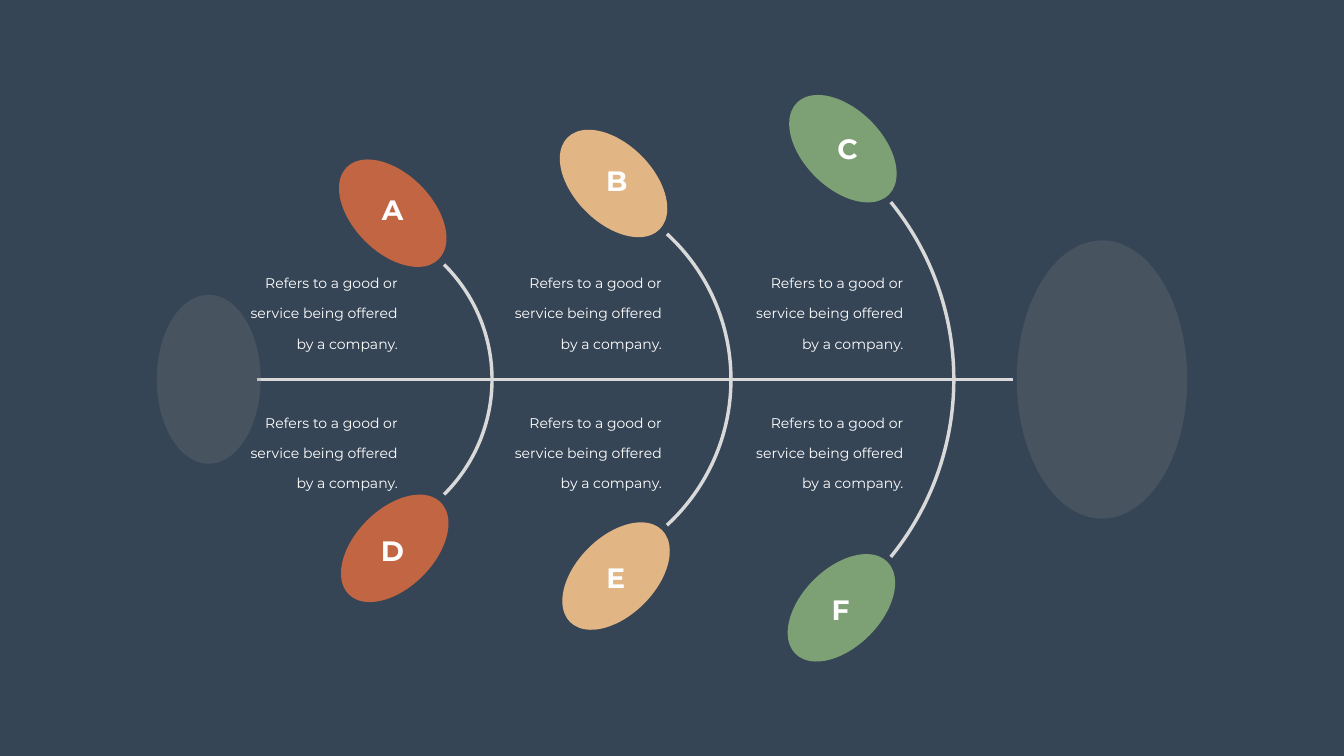
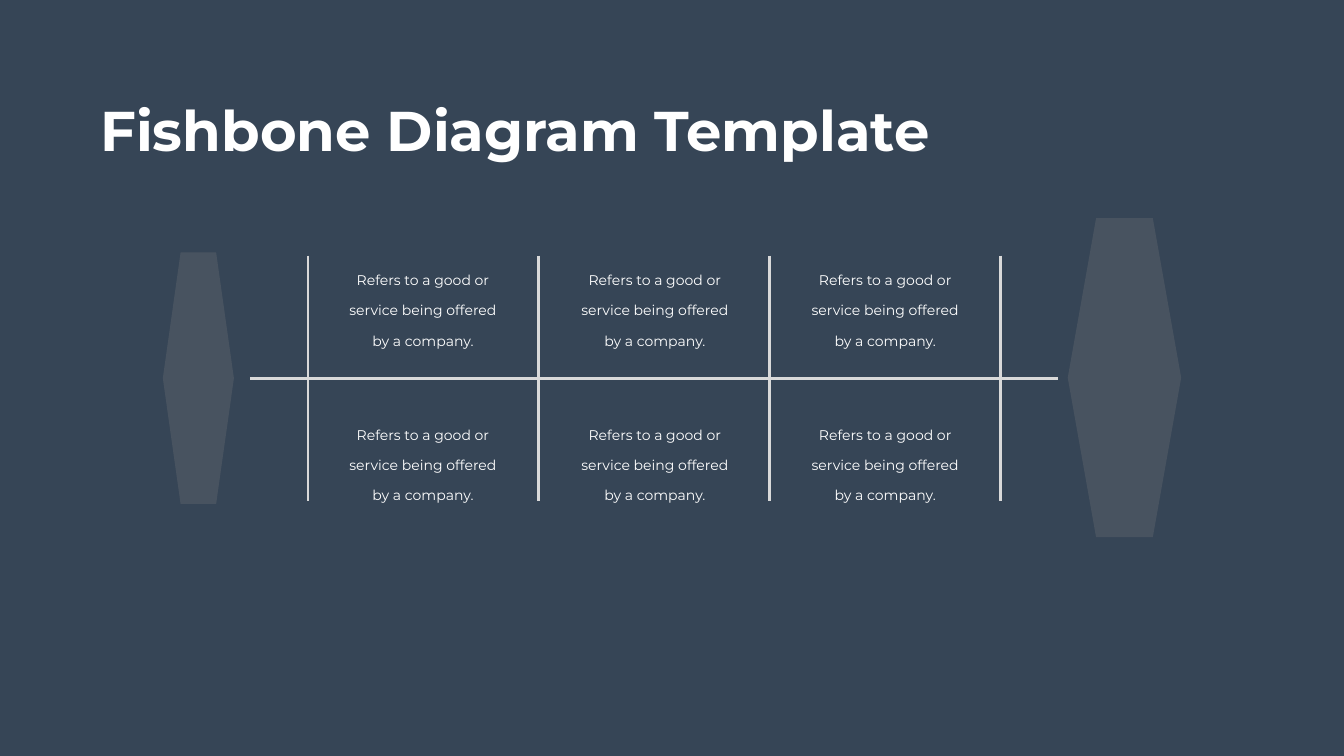
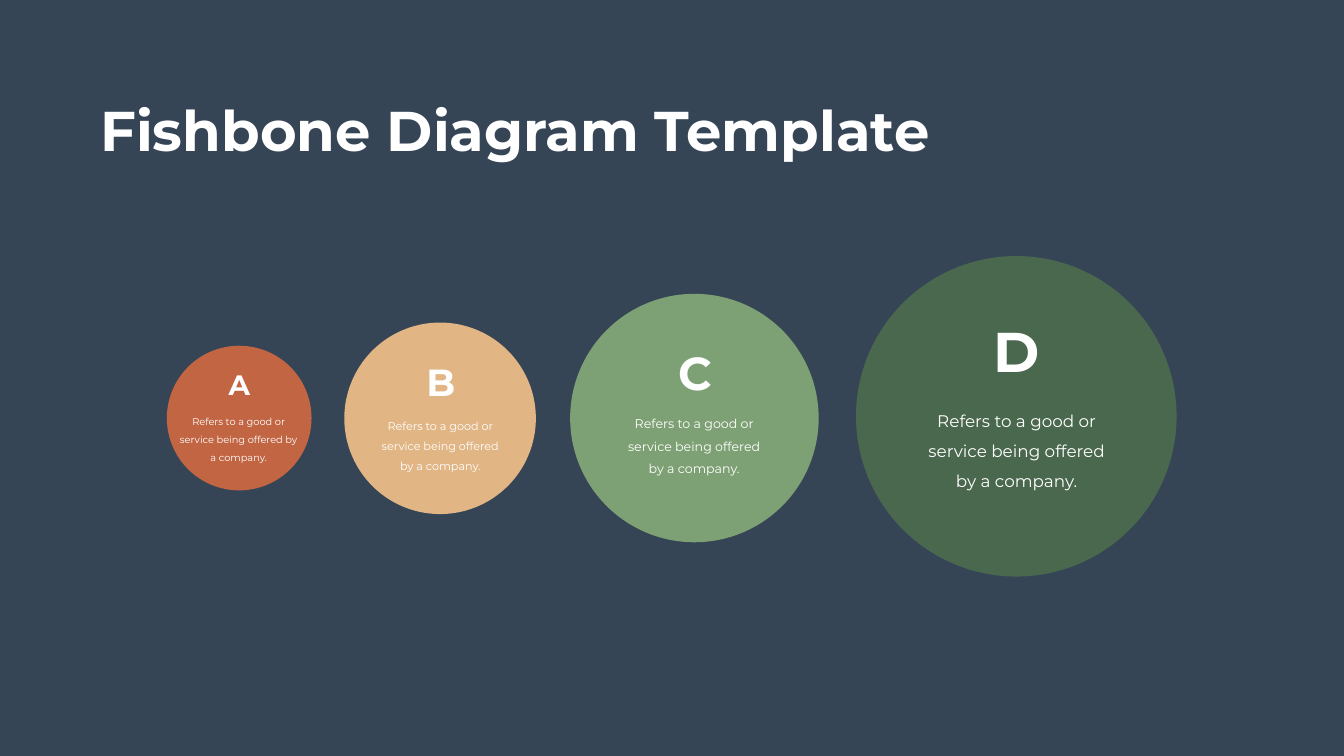
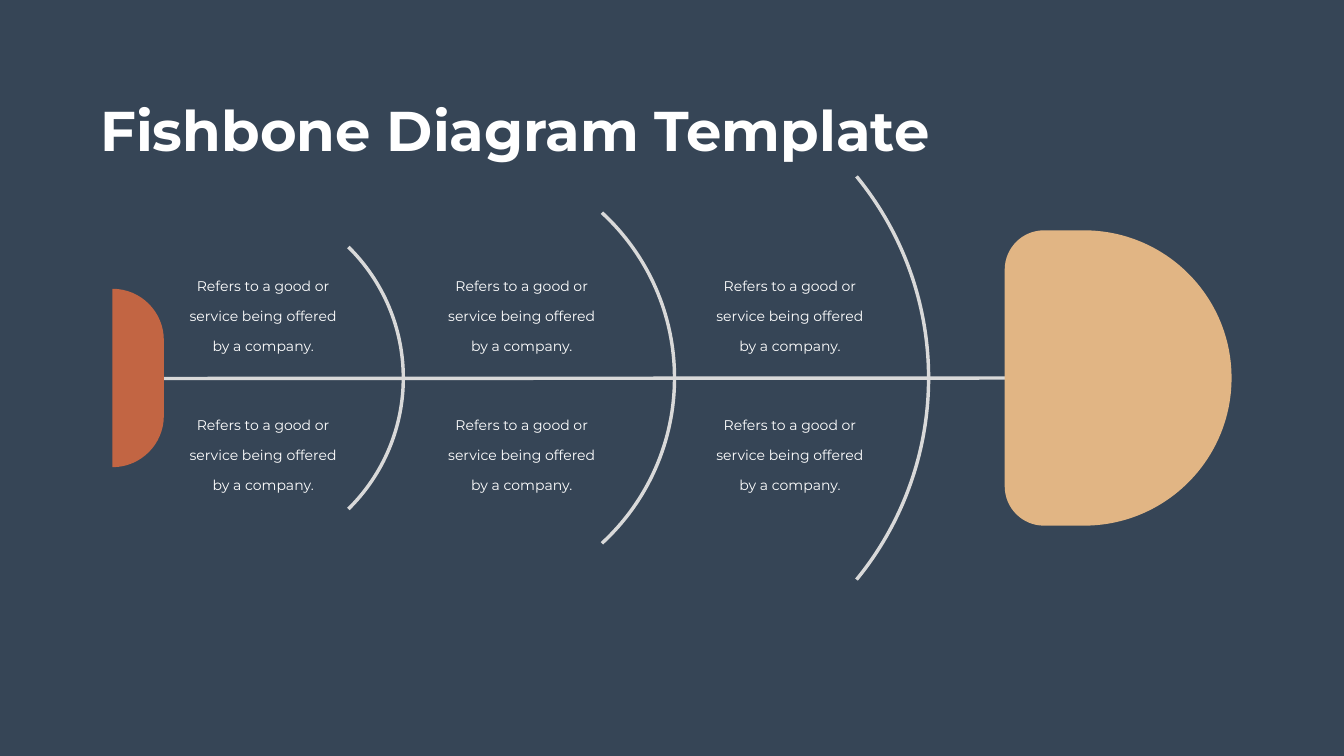
"""Build four fishbone diagram slides."""
import math

import lxml.etree
import pptx
import pptx.dml.color
import pptx.enum.shapes
import pptx.enum.text
import pptx.oxml.ns
import pptx.util

Inches, Pt = pptx.util.Inches, pptx.util.Pt
SHAPE = pptx.enum.shapes.MSO_SHAPE
ALIGN = pptx.enum.text.PP_ALIGN
qn = pptx.oxml.ns.qn

TITLE = "Fishbone Diagram Template"
BODY = "Refers to a good or service being offered by a company."
FONT = "Montserrat"
NAVY, WHITE, BONE, GREY = "364556", "FFFFFF", "D9D9D9", "808080"
RUST, SAND, SAGE, FOREST = "C26543", "E1B584", "7DA174", "4A684D"

BODY_W, BODY_H = 3.6, 1.97
LETTER_W = 1.59
OVAL_W, OVAL_H = 2.58, 1.56

OVAL_SPINE = 7.53
OVAL_RIBS = [(8.81, 9.76, 2.28), (13.23, 14.5, 2.89), (17.67, 18.92, 3.52)]
OVAL_BODY_X, OVAL_BODY_Y = [4.53, 9.77, 14.56], [5.07, 7.84]
OVALS = [
    ("A", RUST, 7.79, 4.23, 45, 6.99, 3.77),
    ("B", SAND, 12.17, 3.64, 45, 11.44, 3.2),
    ("C", SAGE, 16.72, 2.95, 45, 16.02, 2.56),
    ("D", RUST, 7.83, 10.88, 315, 6.99, 10.54),
    ("E", SAND, 12.22, 11.43, 315, 11.42, 11.08),
    ("F", SAGE, 16.69, 12.06, 315, 15.88, 11.7),
]
OVAL_ENDS = [(20.17, 4.77, 3.38, 5.52), (3.11, 5.85, 2.06, 3.35)]

BAR_X, BAR_GAP, BAR_COUNT = 6.11, 4.58, 4
BAR_BODY_X, BAR_BODY_Y = [6.59, 11.19, 15.76], [5.01, 8.08]
BAR_ENDS = [(21.18, 4.33, 2.25, 6.33), (3.23, 5.01, 1.41, 4.99)]

CIRCLES = [
    ("A", RUST, 3.31, 6.86, 2.87, 40, (3.95, 7.25, 0.77), 14, (3.31, 8.02, 2.85, 1.26)),
    ("B", SAND, 6.83, 6.4, 3.8, 54, (7.95, 7.06, 1.01), 16, (7.31, 8.06, 2.85, 1.41)),
    ("C", SAGE, 11.31, 5.83, 4.93, 66, (12.99, 6.78, 1.21), 18, (12.14, 7.98, 3.26, 1.55)),
    ("D", FOREST, 16.98, 5.08, 6.36, 80, (19.38, 6.23, 1.45), 24, (17.94, 7.82, 4.45, 1.99)),
]

FISH_SPINE = 7.5
FISH_RIBS = [(6.91, 8, 2.6), (11.94, 13.38, 3.28), (16.99, 18.42, 4)]
FISH_BODY_X, FISH_BODY_Y = [3.42, 8.55, 13.87], [5.12, 7.88]
TAIL = (2.23, 3.25, 1.77)
HEAD = (19.93, 21.5, 2.93, 0.78)


def rgb(color):
    return pptx.dml.color.RGBColor.from_string(color)


def paint(s, color, alpha=None):
    s.shadow.inherit = False
    s.line.fill.background()
    s.fill.solid()
    s.fill.fore_color.rgb = rgb(color)
    if alpha:
        clr = s._element.spPr.find(".//" + qn("a:srgbClr"))
        lxml.etree.SubElement(clr, qn("a:alpha")).set("val", str(alpha * 1000))


def add_preset(slide, kind, box, color, alpha=None):
    s = slide.shapes.add_shape(kind, *map(Inches, box))
    paint(s, color, alpha)
    return s


def add_line(slide, x1, y1, x2, y2, width):
    s = slide.shapes.add_connector(
        pptx.enum.shapes.MSO_CONNECTOR.STRAIGHT, *map(Inches, (x1, y1, x2, y2)))
    s.line.color.rgb = rgb(BONE)
    s.line.width = Pt(width)
    lxml.etree.SubElement(s._element.spPr, qn("a:effectLst"))


def arc(cx, cy, radius, start, end, count=1):
    """Return the first point as a line segment, then count Bézier segments."""
    step = math.radians(end - start) / count
    pull = 4 / 3 * math.tan(step / 4)

    def point(a, pull=0):
        return (cx + radius * (math.cos(a) - pull * math.sin(a)),
                cy + radius * (math.sin(a) + pull * math.cos(a)))

    angles = [math.radians(start) + step * i for i in range(count + 1)]
    return [[point(angles[0])]] + [
        [point(a, pull), point(b, -pull), point(b)] for a, b in zip(angles, angles[1:])]


def add_outline(slide, segments, close):
    points = [(Inches(x), Inches(y)) for segment in segments for x, y in segment]
    builder = slide.shapes.build_freeform(*points[0])
    builder.add_line_segments(points[1:], close=close)
    s = builder.convert_to_shape()
    lines = iter(s._element.spPr.findall(".//" + qn("a:lnTo")))
    for segment in segments[1:]:
        steps = [next(lines) for _ in segment]
        if len(steps) == 3:
            curve = lxml.etree.Element(qn("a:cubicBezTo"))
            steps[0].addprevious(curve)
            for step in steps:
                curve.append(step[0])
                step.getparent().remove(step)
    return s


def add_rib(slide, x, tip, half, spine):
    depth = tip - x
    radius = (half ** 2 + depth ** 2) / (2 * depth)
    sweep = math.degrees(math.asin(half / radius))
    s = add_outline(slide, arc(tip - radius, spine, radius, -sweep, sweep, 2), False)
    s.shadow.inherit = False
    s.fill.background()
    s.line.color.rgb = rgb(BONE)
    s.line.width = Pt(4.9)


def write(s, text, size, align, bold=False):
    tf = s.text_frame
    tf.text = text
    tf.word_wrap = True
    tf.auto_size = pptx.enum.text.MSO_AUTO_SIZE.SHAPE_TO_FIT_TEXT
    tf.vertical_anchor = pptx.enum.text.MSO_ANCHOR.TOP
    p = tf.paragraphs[0]
    p.alignment = align
    font = p.runs[0].font
    font.name, font.size, font.bold = FONT, Pt(size), bold
    font.color.rgb = rgb(WHITE)
    return tf


def add_letter(slide, text, x, y, h, size):
    s = slide.shapes.add_textbox(*map(Inches, (x, y, LETTER_W, h)))
    write(s, text, size, ALIGN.CENTER, True)


def add_body(slide, box, size=20, align=ALIGN.CENTER, spacing=Pt(43)):
    s = slide.shapes.add_textbox(*map(Inches, box))
    tf = write(s, BODY, size, align)
    tf.margin_left = tf.margin_right = Inches(0.24)
    tf.margin_top = tf.margin_bottom = Inches(0.12)
    p = tf.paragraphs[0]
    p.line_spacing = spacing
    p.space_before = Pt(size * 0.2)


def add_body_grid(slide, columns, rows, align=ALIGN.CENTER):
    for x in columns:
        for y in rows:
            add_body(slide, (x, y, BODY_W, BODY_H), align=align)


def add_titled_slide(prs):
    slide = prs.slides.add_slide(prs.slide_layouts[5])
    s = slide.shapes.title
    s.left, s.top, s.width, s.height = map(Inches, (1.89, 1.85, 16.71, 1.45))
    write(s, TITLE, 80, ALIGN.LEFT, True).word_wrap = False
    return slide


def build_ovals(prs):
    slide = prs.slides.add_slide(prs.slide_layouts[6])
    add_line(slide, 20.09, OVAL_SPINE, 5.09, OVAL_SPINE, 4.9)
    for rib in OVAL_RIBS:
        add_rib(slide, *rib, OVAL_SPINE)
    for letter, color, cx, cy, turn, x, y in OVALS:
        box = (cx - OVAL_W / 2, cy - OVAL_H / 2, OVAL_W, OVAL_H)
        add_preset(slide, SHAPE.OVAL, box, color).rotation = turn
        add_letter(slide, letter, x, y, 0.77, 40)
    for box in OVAL_ENDS:
        add_preset(slide, SHAPE.OVAL, box, GREY, 25)
    add_body_grid(slide, OVAL_BODY_X, OVAL_BODY_Y, ALIGN.RIGHT)


def build_bars(prs):
    slide = add_titled_slide(prs)
    add_line(slide, 4.96, 7.51, 20.98, 7.51, 4.03)
    for i in range(BAR_COUNT):
        x = BAR_X + i * BAR_GAP
        add_line(slide, x, 5.07, x, 9.94, 4.03)
    for box in BAR_ENDS:
        add_preset(slide, SHAPE.HEXAGON, box, GREY, 25)
    add_body_grid(slide, BAR_BODY_X, BAR_BODY_Y)


def build_circles(prs):
    slide = add_titled_slide(prs)
    for letter, color, x, y, d, size, letter_at, body_size, body_box in CIRCLES:
        add_preset(slide, SHAPE.OVAL, (x, y, d, d), color)
        add_body(slide, body_box, body_size, spacing=1.5)
        add_letter(slide, letter, *letter_at, size)


def build_fish(prs):
    slide = add_titled_slide(prs)
    add_line(slide, 20.61, 7.5, 3.06, 7.51, 4.9)
    for rib in FISH_RIBS:
        add_rib(slide, *rib, FISH_SPINE)

    left, right, half = TAIL
    r = right - left
    tail = (arc(left, FISH_SPINE - half + r, r, -90, 0)
            + arc(left, FISH_SPINE + half - r, r, 0, 90))
    paint(add_outline(slide, tail, True), RUST)

    left, cx, half, r = HEAD
    head = (arc(cx, FISH_SPINE, half, -90, 90, 2)
            + arc(left + r, FISH_SPINE + half - r, r, 90, 180)
            + arc(left + r, FISH_SPINE - half + r, r, 180, 270))
    paint(add_outline(slide, head, True), SAND)
    add_body_grid(slide, FISH_BODY_X, FISH_BODY_Y)


def main():
    prs = pptx.Presentation()
    prs.slide_width, prs.slide_height = Inches(26.66), Inches(15)
    fill = prs.slide_master.background.fill
    fill.solid()
    fill.fore_color.rgb = rgb(NAVY)
    for build in (build_ovals, build_bars, build_circles, build_fish):
        build(prs)
    prs.save("out.pptx")


if __name__ == "__main__":
    main()
